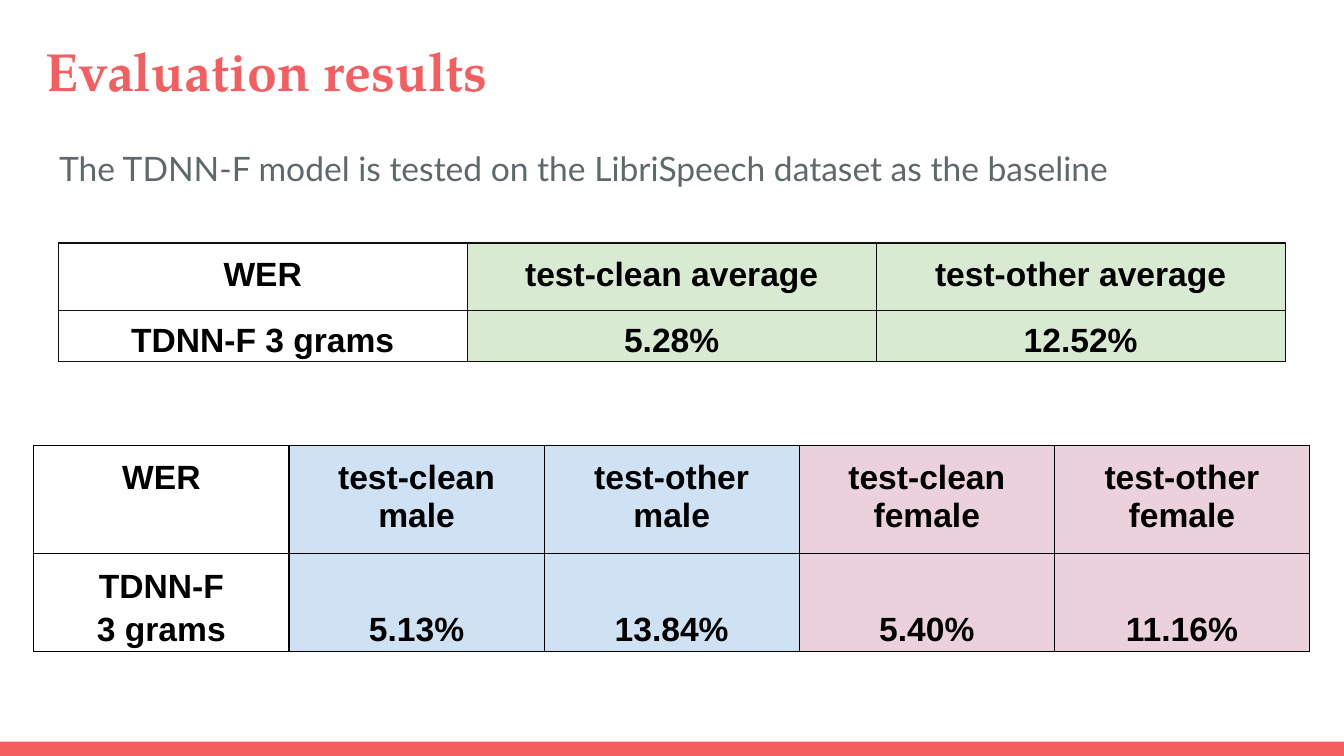
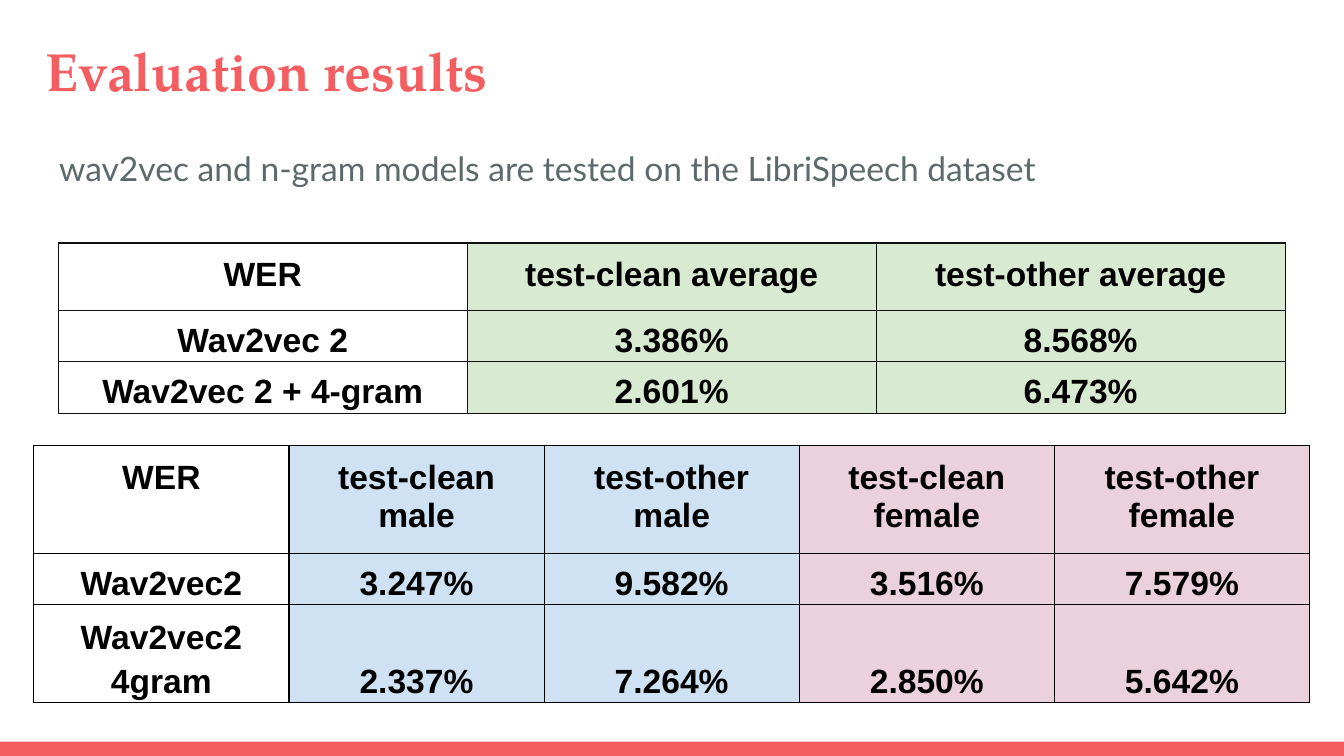
from lxml.etree import SubElement
from pptx import Presentation
from pptx.dml.color import RGBColor
from pptx.enum.shapes import MSO_SHAPE as Shape
from pptx.enum.text import MSO_ANCHOR as Anchor, PP_ALIGN as Align
from pptx.oxml.ns import qn
from pptx.util import Pt

WIDTH, HEIGHT = 720, 405
BAND_HEIGHT = 7.6
CORAL, GREY, BLACK, NEAR_BLACK = "F55E61", "5E696C", "000000", "0F0F0F"
GREEN, BLUE, PINK = "D9EAD3", "CFE2F3", "EAD1DC"

TITLE = "Evaluation results"
AVERAGE = {
    "left": 31.2, "top": 130.2, "column": 219.1, "header_height": 26.6,
    "border": NEAR_BLACK, "fills": [None, GREEN, GREEN],
    "header": ["WER", "test-clean average", "test-other average"],
}
BY_GENDER = {
    "left": 18.1, "top": 238.8, "column": 136.7, "header_height": 39.6,
    "border": BLACK, "fills": [None, BLUE, BLUE, PINK, PINK],
    "header": ["WER", "test-clean\nmale", "test-other\nmale",
               "test-clean\nfemale", "test-other\nfemale"],
}
ROW_HEIGHT = 26
FRAME_SIDE = 236.22

SLIDES = [
    ("The TDNN-F model is tested on the LibriSpeech dataset as the baseline", [
        (AVERAGE, [["TDNN-F 3 grams", "5.28%", "12.52%"]]),
        (BY_GENDER, [["TDNN-F\n3 grams", "5.13%", "13.84%", "5.40%", "11.16%"]]),
    ]),
    ("wav2vec and n-gram models are tested on the LibriSpeech dataset", [
        (AVERAGE, [["Wav2vec 2", "3.386%", "8.568%"],
                   ["Wav2vec 2 + 4-gram", "2.601%", "6.473%"]]),
        (BY_GENDER, [["Wav2vec2", "3.247%", "9.582%", "3.516%", "7.579%"],
                     ["Wav2vec2\n4gram", "2.337%", "7.264%", "2.850%", "5.642%"]]),
    ]),
]


def color(value):
    return RGBColor.from_string(value)


def set_margins(target, across, down):
    target.margin_left = target.margin_right = Pt(across)
    target.margin_top = target.margin_bottom = Pt(down)


def write(para, text, font, size, ink, bold=False):
    span = para.add_run()
    span.text = text
    span.font.name, span.font.size, span.font.bold = font, Pt(size), bold
    span.font.color.rgb = color(ink)


def add_text(page, left, top, width, height, *style, **options):
    box = page.shapes.add_textbox(Pt(left), Pt(top), Pt(width), Pt(height))
    frame = box.text_frame
    frame.word_wrap = True
    set_margins(frame, 7.2, 7.2)
    para = frame.paragraphs[0]
    write(para, *style, **options)
    return para


def add_band(page):
    band = page.shapes.add_shape(Shape.RECTANGLE, 0, Pt(HEIGHT - BAND_HEIGHT),
                                 Pt(WIDTH), Pt(BAND_HEIGHT))
    band.shadow.inherit = False
    band.fill.solid()
    band.fill.fore_color.rgb = color(CORAL)
    band.line.fill.background()


def set_borders(cell, ink):
    properties = cell._tc.get_or_add_tcPr()
    for side in ("a:lnL", "a:lnR", "a:lnT", "a:lnB"):
        line = SubElement(properties, qn(side), w=str(Pt(0.75)))
        fill = SubElement(line, qn("a:solidFill"))
        SubElement(fill, qn("a:srgbClr"), val=ink)


def fill_cell(cell, text, fill, border, is_header):
    set_borders(cell, border)
    if fill:
        cell.fill.solid()
        cell.fill.fore_color.rgb = color(fill)
    else:
        cell.fill.background()
    if is_header:
        set_margins(cell, 7.2, 7.2)
    else:
        set_margins(cell, 2.2, 1.4)
    cell.vertical_anchor = Anchor.TOP if is_header else Anchor.BOTTOM
    frame = cell.text_frame
    for index, line in enumerate(text.split("\n")):
        para = frame.add_paragraph() if index else frame.paragraphs[0]
        para.alignment = Align.CENTER
        if not is_header:
            para.line_spacing = 1.15
        write(para, line, "Arial", 18, BLACK, bold=True)


def add_results(page, layout, results):
    """Add a table whose rows grow to fit their text inside a roomy frame."""
    rows = [layout["header"], *results]
    fills = layout["fills"]
    heights = [layout["header_height"]] + [ROW_HEIGHT] * len(results)
    holder = page.shapes.add_table(
        len(rows), len(fills), Pt(layout["left"]), Pt(layout["top"]),
        Pt(FRAME_SIDE), Pt(FRAME_SIDE))
    table = holder.table
    table.first_row = table.horz_banding = False
    for column in table.columns:
        column.width = Pt(layout["column"])
    for r, (texts, height) in enumerate(zip(rows, heights)):
        table.rows[r].height = Pt(height)
        for c, (text, fill) in enumerate(zip(texts, fills)):
            fill_cell(table.cell(r, c), text, fill, layout["border"], r == 0)
    holder.width = holder.height = Pt(FRAME_SIDE)


def main():
    deck = Presentation()
    deck.slide_width, deck.slide_height = Pt(WIDTH), Pt(HEIGHT)
    for statement, tables in SLIDES:
        page = deck.slides.add_slide(deck.slide_layouts[6])
        add_band(page)
        add_text(page, 17.3, 13, 671, 49, TITLE, "TeX Gyre Pagella", 28.8, CORAL,
                 bold=True)
        para = add_text(page, 24.6, 73.4, 671, 36, statement, "Lato", 18, GREY)
        para.line_spacing = 0.95
        para.space_after = Pt(12)
        for layout, results in tables:
            add_results(page, layout, results)
    deck.save("out.pptx")


if __name__ == "__main__":
    main()
